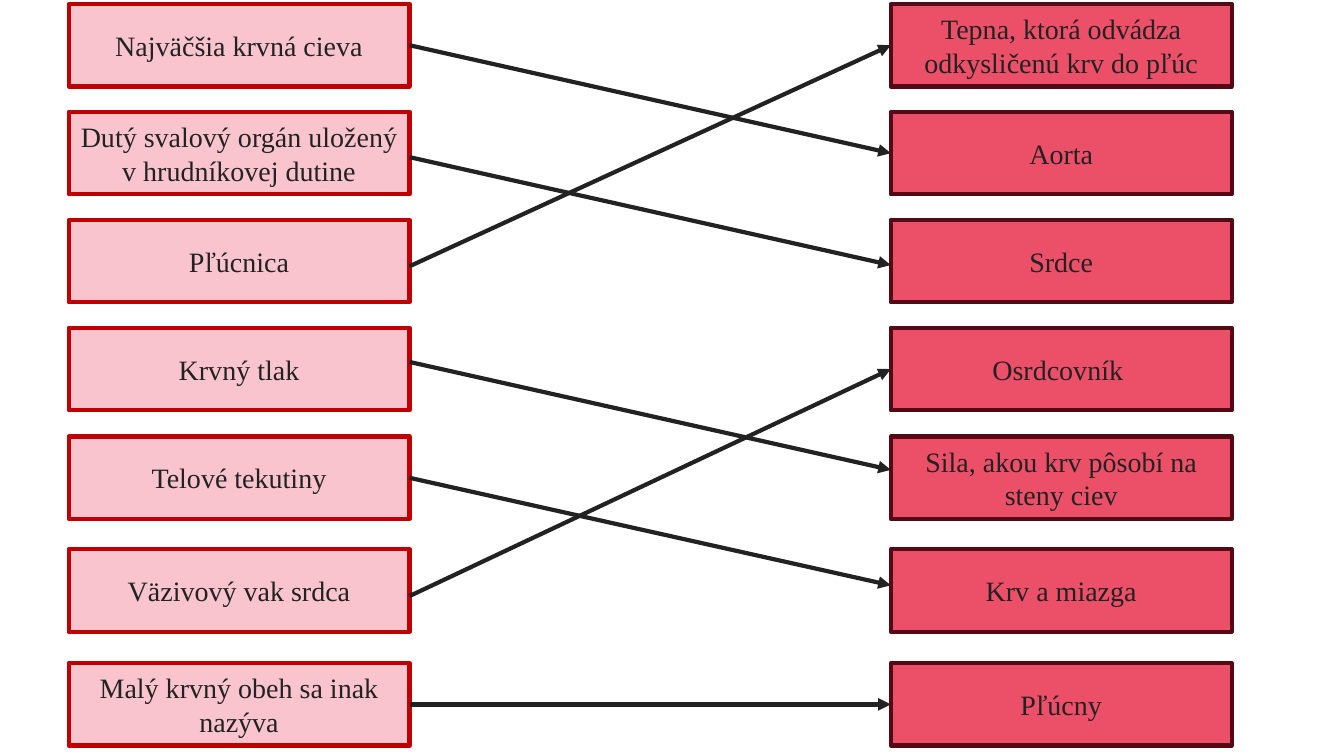
from typing import NamedTuple

from lxml import etree
from pptx import Presentation
from pptx.dml.color import RGBColor
from pptx.enum.shapes import MSO_CONNECTOR, MSO_SHAPE
from pptx.enum.text import MSO_ANCHOR, PP_ALIGN
from pptx.oxml.ns import qn
from pptx.util import Cm, Pt

RECT = MSO_SHAPE.RECTANGLE
STRAIGHT = MSO_CONNECTOR.STRAIGHT
MIDDLE = MSO_ANCHOR.MIDDLE
CENTER = PP_ALIGN.CENTER
LEFT_SIDE, RIGHT_SIDE = 1, 3

COLORS = {
    "ink": "222222",
    "pink": "F9C4CD",
    "red": "C00000",
    "rose": "EC4F68",
    "wine": "540915",
}

# Sizes in centimetres
TOPS = (0.1, 2.82, 5.54, 8.26, 11, 13.84, 16.71)
WIDTH, HEIGHT = 8.59, 2.08
STROKE = Pt(3)


class Column(NamedTuple):
    left: float
    fill: str
    line: str
    texts: tuple[str, ...]


class Match(NamedTuple):
    term: int
    answer: int
    start: float = 0  # offset from the middle of the term's side
    end: float = 0  # offset from the middle of the answer's side


TERMS = Column(1.73, "pink", "red", (
    "Najväčšia krvná cieva",
    "Dutý svalový orgán uložený v hrudníkovej dutine",
    "Pľúcnica",
    "Krvný tlak",
    "Telové tekutiny",
    "Väzivový vak srdca",
    "Malý krvný obeh sa inak nazýva",
))
ANSWERS = Column(22.45, "rose", "wine", (
    "Tepna, ktorá odvádza odkysličenú krv do pľúc",
    "Aorta",
    "Srdce",
    "Osrdcovník ",
    "Sila, akou krv pôsobí na steny ciev",
    "Krv a miazga",
    "Pľúcny",
))
MATCHES = (
    Match(0, 1),
    Match(6, 6),
    Match(2, 0, start=0.13),
    Match(5, 3, start=0.14),
    Match(3, 4, start=-0.18, end=-0.2),
    Match(4, 5, end=-0.13),
    Match(1, 2, start=0.1, end=0.1),
)


def color(name: str) -> RGBColor:
    return RGBColor.from_string(COLORS[name])


def add_box(slide, column: Column, top: float, text: str):
    box = slide.shapes.add_shape(
        RECT, Cm(column.left), Cm(top), Cm(WIDTH), Cm(HEIGHT))
    box.shadow.inherit = False
    box.fill.solid()
    box.fill.fore_color.rgb = color(column.fill)
    box.line.color.rgb = color(column.line)
    box.line.width = STROKE

    frame = box.text_frame
    frame.word_wrap = True
    frame.vertical_anchor = MIDDLE
    para = frame.paragraphs[0]
    para.text = text
    para.alignment = CENTER
    para.font.name = "Times New Roman"
    para.font.size = Pt(20)
    para.font.color.rgb = color("ink")
    return box


def add_column(slide, column: Column) -> list:
    return [add_box(slide, column, top, text)
            for top, text in zip(TOPS, column.texts)]


def add_arrow(slide, match: Match, terms: list, answers: list) -> None:
    term, answer = terms[match.term], answers[match.answer]
    arrow = slide.shapes.add_connector(
        STRAIGHT,
        term.left + term.width,
        term.top + term.height // 2 + Cm(match.start),
        answer.left,
        answer.top + answer.height // 2 + Cm(match.end))
    if not match.start:
        arrow.begin_connect(term, RIGHT_SIDE)
    if not match.end:
        arrow.end_connect(answer, LEFT_SIDE)

    arrow.line.color.rgb = color("ink")
    arrow.line.width = STROKE
    etree.SubElement(arrow.line._get_or_add_ln(), qn("a:tailEnd"),
                     type="triangle")
    etree.SubElement(arrow._element.spPr, qn("a:effectLst"))


def main() -> None:
    deck = Presentation()
    deck.slide_width, deck.slide_height = Cm(33.87), Cm(19.05)
    slide = deck.slides.add_slide(deck.slide_layouts[6])

    # Terms on the left, answers on the right
    terms = add_column(slide, TERMS)
    answers = add_column(slide, ANSWERS)

    # Arrows between the pairs
    for match in MATCHES:
        add_arrow(slide, match, terms, answers)

    deck.save("out.pptx")


if __name__ == "__main__":
    main()
